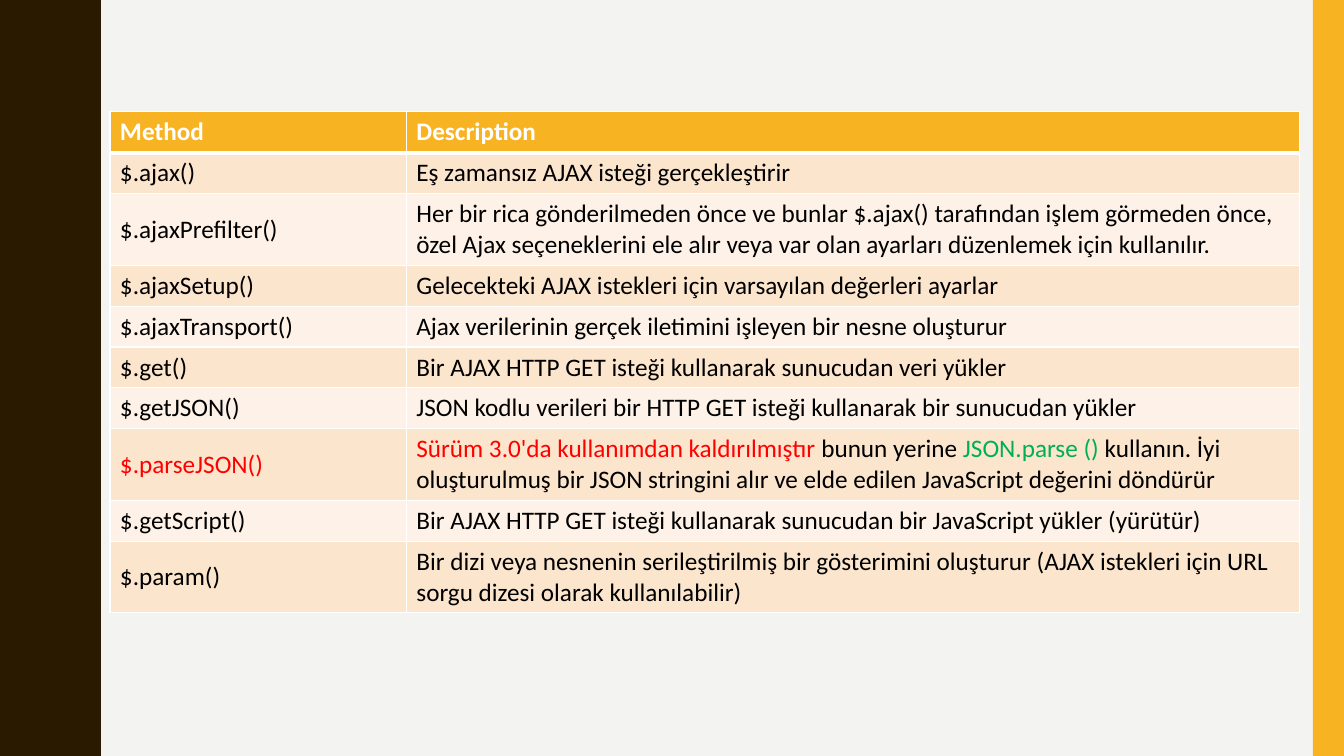
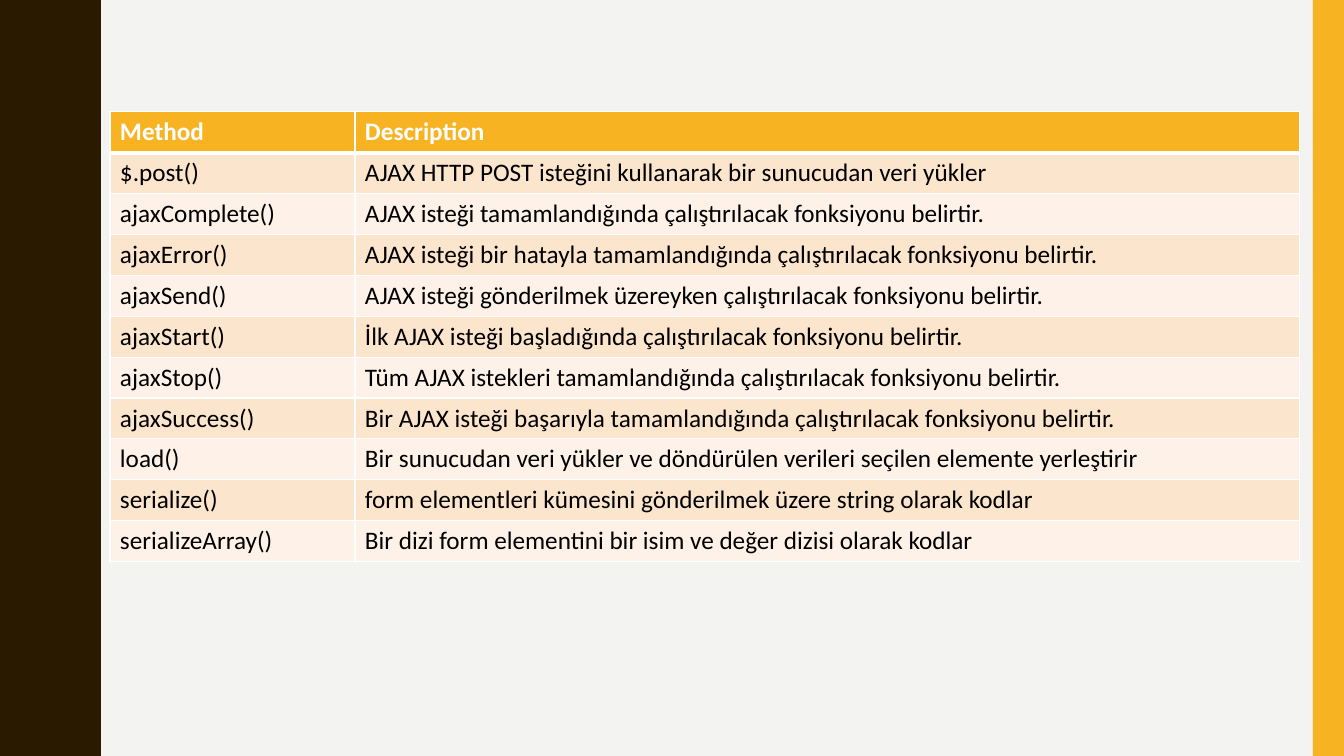
from pptx import Presentation
from pptx.dml.color import RGBColor
from pptx.enum.shapes import MSO_SHAPE as SHAPE
from pptx.enum.text import MSO_ANCHOR as ANCHOR
from pptx.oxml import parse_xml
from pptx.oxml.ns import nsdecls
from pptx.util import Inches, Pt

BACKGROUND = RGBColor(0xF3, 0xF3, 0xF2)
BROWN = RGBColor(0x2A, 0x1A, 0x00)
GOLD = RGBColor(0xF8, 0xB3, 0x23)
PEACH = RGBColor(0xFC, 0xE5, 0xCD)
CREAM = RGBColor(0xFE, 0xF2, 0xE8)
WHITE = RGBColor(0xFF, 0xFF, 0xFF)
BLACK = RGBColor(0x00, 0x00, 0x00)
RED = RGBColor(0xFF, 0x00, 0x00)
GREEN = RGBColor(0x00, 0xB0, 0x50)

HEADINGS = ("Method", "Description")
METHOD_TABLES = [
    {"widths": (2.94, 8.86), "methods": [
        ("$.ajax()", "Eş zamansız AJAX isteği gerçekleştirir"),
        ("$.ajaxPrefilter()",
         "Her bir rica gönderilmeden önce ve bunlar $.ajax() tarafından işlem görmeden önce, "
         "özel Ajax seçeneklerini ele alır veya var olan ayarları düzenlemek için kullanılır."),
        ("$.ajaxSetup()", "Gelecekteki AJAX istekleri için varsayılan değerleri ayarlar"),
        ("$.ajaxTransport()", "Ajax verilerinin gerçek iletimini işleyen bir nesne oluşturur"),
        ("$.get()", "Bir AJAX HTTP GET isteği kullanarak sunucudan veri yükler"),
        ("$.getJSON()", "JSON kodlu verileri bir HTTP GET isteği kullanarak bir sunucudan yükler"),
        ([("$.parseJSON()", RED)],
         [("Sürüm 3.0'da kullanımdan kaldırılmıştır ", RED),
          ("bunun yerine ", BLACK),
          ("JSON.parse () ", GREEN),
          ("kullanın. İyi oluşturulmuş bir JSON stringini alır ve elde edilen "
           "JavaScript değerini döndürür", BLACK)]),
        ("$.getScript()",
         "Bir AJAX HTTP GET isteği kullanarak sunucudan bir JavaScript yükler (yürütür)"),
        ("$.param()",
         "Bir dizi veya nesnenin serileştirilmiş bir gösterimini oluşturur "
         "(AJAX istekleri için URL sorgu dizesi olarak kullanılabilir)"),
    ]},
    {"widths": (2.43, 9.37), "methods": [
        ("$.post()", "AJAX HTTP POST isteğini kullanarak bir sunucudan veri yükler"),
        ("ajaxComplete()", "AJAX isteği tamamlandığında çalıştırılacak fonksiyonu belirtir."),
        ("ajaxError()",
         "AJAX isteği bir hatayla tamamlandığında çalıştırılacak fonksiyonu belirtir."),
        ("ajaxSend()", "AJAX isteği gönderilmek üzereyken çalıştırılacak fonksiyonu belirtir."),
        ("ajaxStart()", "İlk AJAX isteği başladığında çalıştırılacak fonksiyonu belirtir."),
        ("ajaxStop()", "Tüm AJAX istekleri tamamlandığında çalıştırılacak fonksiyonu belirtir."),
        ("ajaxSuccess()",
         "Bir AJAX isteği başarıyla tamamlandığında çalıştırılacak fonksiyonu belirtir."),
        ("load()", "Bir sunucudan veri yükler ve döndürülen verileri seçilen elemente yerleştirir"),
        ("serialize()", "form elementleri kümesini gönderilmek üzere string olarak kodlar"),
        ("serializeArray()", "Bir dizi form elementini bir isim ve değer dizisi olarak kodlar"),
    ]},
]

SLIDE_W, SLIDE_H = 13.33, 7.5
GOLD_BAND_W = 0.31
TABLE_LEFT, TABLE_TOP = 1.09, 1.11
ROW_H = Inches(4.46) // 11
WAVE_PERIOD, WAVE_COUNT = 1.5, 5
RISING_WAVE = [(0.78, 0), (0.78, 0.07), (0.79, 0.14), (0.8, 0.2), (0.81, 0.25),
               (0.83, 0.29), (0.85, 0.33), (0.87, 0.38), (0.89, 0.42), (0.91, 0.46),
               (0.93, 0.5), (0.95, 0.55), (0.96, 0.61), (0.97, 0.68), (0.97, 0.75)]


def paint(shape, color):
    shape.shadow.inherit = False
    shape.fill.solid()
    shape.fill.fore_color.rgb = color
    shape.line.fill.background()


def add_bands(slide):
    falling_wave = [(x, WAVE_PERIOD - y) for x, y in reversed(RISING_WAVE[:-1])]
    edge = [(x, y + i * WAVE_PERIOD)
            for i in range(WAVE_COUNT) for x, y in RISING_WAVE + falling_wave]
    outline = slide.shapes.build_freeform(0, 0, scale=Inches(1))
    outline.add_line_segments(edge + [(0, SLIDE_H)], close=True)
    paint(outline.convert_to_shape(), BROWN)
    gold_band = slide.shapes.add_shape(
        SHAPE.RECTANGLE, Inches(SLIDE_W - GOLD_BAND_W), 0, Inches(GOLD_BAND_W), Inches(SLIDE_H))
    paint(gold_band, GOLD)


def write(frame, text, color=BLACK, bold=False, size=18, font="Calibri"):
    runs = [(text, color)] if isinstance(text, str) else text
    for words, run_color in runs:
        run = frame.paragraphs[0].add_run()
        run.text = words
        run.font.name, run.font.size, run.font.bold = font, Pt(size), bold
        run.font.color.rgb = run_color


def add_borders(cell, top=1, bottom=1):
    for side, width in (("L", 1), ("R", 1), ("T", top), ("B", bottom)):
        cell._tc.get_or_add_tcPr().append(parse_xml(
            f'<a:ln{side} {nsdecls("a")} w="{Pt(width)}"><a:solidFill>'
            f'<a:srgbClr val="{WHITE}"/></a:solidFill></a:ln{side}>'))


def add_method_table(slide, widths, methods):
    rows = [HEADINGS] + methods
    table = slide.shapes.add_table(
        len(rows), len(widths), Inches(TABLE_LEFT), Inches(TABLE_TOP),
        Inches(sum(widths)), ROW_H * len(rows)).table
    table.horz_banding = False
    for column, width in zip(table.columns, widths):
        column.width = Inches(width)
    for r, texts in enumerate(rows):
        header = r == 0
        for c, text in enumerate(texts):
            cell = table.cell(r, c)
            add_borders(cell, top=3 if r == 1 else 1, bottom=3 if header else 1)
            cell.fill.solid()
            cell.fill.fore_color.rgb = GOLD if header else PEACH if r % 2 else CREAM
            cell.vertical_anchor = ANCHOR.MIDDLE
            write(cell.text_frame, text, color=WHITE if header else BLACK, bold=header)


def main():
    """Build the slides of AJAX method tables."""
    prs = Presentation()
    prs.slide_width, prs.slide_height = Inches(SLIDE_W), Inches(SLIDE_H)
    master_fill = prs.slide_master.background.fill
    master_fill.solid()
    master_fill.fore_color.rgb = BACKGROUND
    for method_table in METHOD_TABLES:
        slide = prs.slides.add_slide(prs.slide_layouts[6])
        add_bands(slide)
        add_method_table(slide, **method_table)
    prs.save("out.pptx")


if __name__ == "__main__":
    main()
